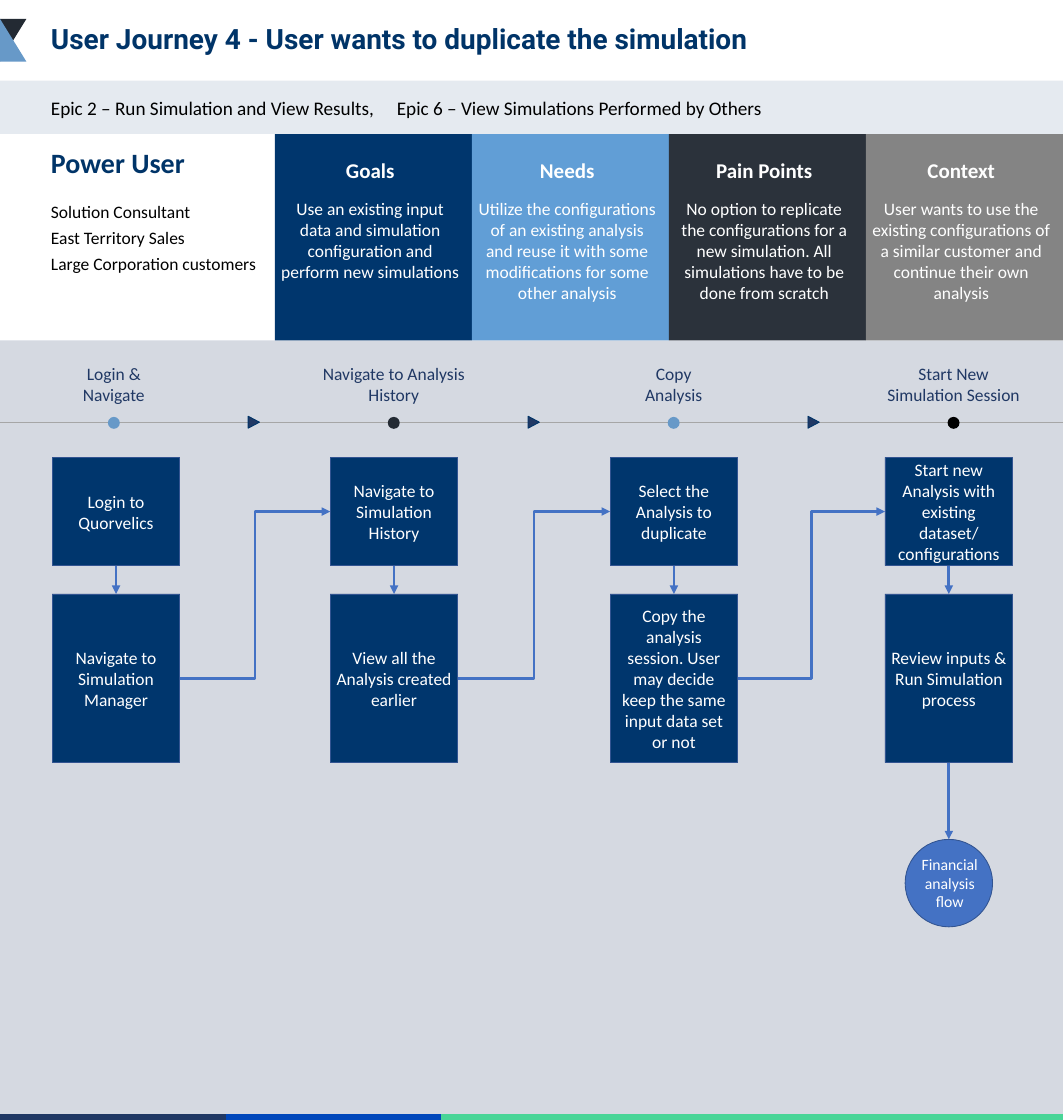
from dataclasses import dataclass

from lxml import etree
from pptx import Presentation
from pptx.dml.color import RGBColor
from pptx.enum.shapes import MSO_CONNECTOR, MSO_SHAPE
from pptx.enum.text import MSO_ANCHOR, MSO_AUTO_SIZE, PP_ALIGN
from pptx.oxml.ns import qn
from pptx.util import Inches, Pt

RECT, OVAL = MSO_SHAPE.RECTANGLE, MSO_SHAPE.OVAL
WEDGE, ARROW = MSO_SHAPE.RIGHT_TRIANGLE, MSO_SHAPE.ISOSCELES_TRIANGLE
LINE, ELBOW = MSO_CONNECTOR.STRAIGHT, MSO_CONNECTOR.ELBOW
LEFT, MID = PP_ALIGN.LEFT, PP_ALIGN.CENTER
TOP, CENTER = MSO_ANCHOR.TOP, MSO_ANCHOR.MIDDLE
BELOW, RIGHT, ABOVE, SIDE = 2, 3, 0, 1
WIDE, TALL = 16.9, 17.8


@dataclass(frozen=True)
class Theme:
    navy: str = "00366D"
    ink: str = "003468"
    dusk: str = "203864"
    sky: str = "5B9BD5"
    steel: str = "6799C8"
    coal: str = "232A33"
    gray: str = "808080"
    rule: str = "A6A6A6"
    edge: str = "325491"
    link: str = "4472C4"
    blue: str = "0047BB"
    green: str = "48D597"
    black: str = "000000"
    white: str = "FFFFFF"
    face: str = "Calibri"
    display: str = "Roboto"
    big: int = 32
    head: int = 24
    lead: int = 22
    body: int = 20
    small: int = 18


T = Theme()

CARDS = [
    ("Goals", T.navy, 100, "Use an existing input data and simulation configuration "
     "and perform new simulations"),
    ("Needs", T.sky, 96, "Utilize the configurations of an existing analysis and "
     "reuse it with some modifications for some other analysis"),
    ("Pain Points", T.coal, 96, "No option to replicate the configurations for a new "
     "simulation. All simulations have to be done from scratch"),
    ("Context", T.gray, 96, "User wants to use the existing configurations of a "
     "similar customer and continue their own analysis"),
]
STAGES = [
    ("Login & Navigate", 1.96, T.steel),
    ("Navigate to Analysis History", 2.91, T.coal),
    ("Copy\vAnalysis", 2.91, T.steel),
    ("Start New Simulation Session", 2.57, T.black),
]
STEPS = [
    (0.83, "Login to\nQuorvelics", "Navigate to Simulation Manager"),
    (5.25, "Navigate to Simulation History", "View all the Analysis created earlier"),
    (9.7, "Select the Analysis to duplicate", "Copy the analysis session. User may "
     "decide keep the same input data set or not"),
    (14.07, "Start new Analysis with existing dataset/ configurations",
     "Review inputs & Run Simulation process"),
]


def rgb(color):
    return RGBColor.from_string(color)


def apply(target, values):
    for name, value in values.items():
        setattr(target, name, value)


def write(shape, text, size=T.body, color=T.white, bold=False, face=T.face,
          align=MID, anchor=CENTER, pad=(0.1, 0.05, 0.1, 0.05), after=0, lead=1):
    frame = shape.text_frame
    frame.text = text
    sides = ("margin_left", "margin_top", "margin_right", "margin_bottom")
    apply(frame, {"word_wrap": True, "auto_size": MSO_AUTO_SIZE.NONE,
                  "vertical_anchor": anchor, **dict(zip(sides, map(Inches, pad)))})
    for para in frame.paragraphs:
        apply(para, {"alignment": align, "space_after": Pt(after),
                     "line_spacing": lead})
        for run in para.runs:
            apply(run.font, {"name": face, "size": Pt(size), "bold": bold})
            run.font.color.rgb = rgb(color)
    return shape


def label(slide, box, text, **style):
    return write(slide.shapes.add_textbox(*map(Inches, box)), text, **style)


def draw(slide, kind, box, fill, edge=None, alpha=100):
    shape = slide.shapes.add_shape(kind, *map(Inches, box))
    shape.shadow.inherit = False
    shape.fill.solid()
    shape.fill.fore_color.rgb = rgb(fill)
    if alpha < 100:
        tint = shape.fill._xPr.find(".//" + qn("a:srgbClr"))
        etree.SubElement(tint, qn("a:alpha")).set("val", str(alpha * 1000))
    if edge:
        shape.line.color.rgb = rgb(edge)
        shape.line.width = Pt(1)
    else:
        shape.line.fill.background()
    return shape


def wire(slide, kind, ends, color, width):
    line = slide.shapes.add_connector(kind, *map(Inches, ends))
    line.line.color.rgb = rgb(color)
    line.line.width = Pt(width)
    etree.SubElement(line._element.spPr, qn("a:effectLst"))
    return line


def link(slide, start, out, end, into, kind=LINE):
    line = wire(slide, kind, (0, 0, 0, 0), T.link, 3.25)
    line.begin_connect(start, out)
    line.end_connect(end, into)
    etree.SubElement(line.line._get_or_add_ln(), qn("a:tailEnd")).set("type", "triangle")


def header(slide, box):
    x, y, w, h = box
    mark = (x, y + 0.3, 0.42, 0.68)
    draw(slide, WEDGE, mark, T.coal)._element.spPr.xfrm.set("flipV", "1")
    draw(slide, WEDGE, mark, T.steel)
    title = slide.shapes.title
    place = (x + 0.71, y + 0.2, 13.26, 0.9)
    apply(title, dict(zip(("left", "top", "width", "height"), map(Inches, place))))
    write(title, "User Journey 4 - User wants to duplicate the simulation", size=T.big,
          color=T.ink, bold=True, face=T.display, align=LEFT, lead=0.9)


def epics(slide, box):
    x, y, w, h = box
    draw(slide, RECT, box, T.navy, alpha=10)
    text = label(slide, (x + 0.81, y + 0.2, 15, 0.47),
                 "Epic 2 – Run Simulation and View Results,\t"
                 "Epic 6 – View Simulations Performed by Others",
                 size=T.lead, color=T.black, align=LEFT, anchor=TOP,
                 pad=(0, 0.05, 0.1, 0.05))
    props = text.text_frame.paragraphs[0]._p.get_or_add_pPr()
    stop = etree.SubElement(etree.SubElement(props, qn("a:tabLst")), qn("a:tab"))
    apply_tab = {"pos": str(Inches(5.5)), "algn": "l"}
    stop.attrib.update(apply_tab)


def persona(slide, box):
    x, y, w, h = box
    style = {"align": LEFT, "anchor": TOP, "pad": (0, 0.05, 0.1, 0.05)}
    label(slide, (x + 0.81, y + 0.13, 2.93, 0.64), "Power User",
          size=T.big, color=T.ink, bold=True, **style)
    label(slide, (x + 0.81, y + 1.01, 3.4, 1.28),
          "Solution Consultant\nEast Territory Sales\nLarge Corporation customers",
          color=T.black, after=6, **style)


def cards(slide, box):
    x, y, w, h = box
    step = w / len(CARDS)
    flush = (0, 0, 0, 0)
    for i, (name, fill, alpha, text) in enumerate(CARDS):
        left = x + i * step
        draw(slide, RECT, (left, y, step, h), fill, alpha=alpha)
        label(slide, (left + 0.09, y + 0.37, 2.85, 0.4), name,
              size=T.head, bold=True, pad=flush)
        label(slide, (left + 0.09, y + 1.01, 2.85, 1.68), text, anchor=TOP, pad=flush)


def stages(slide, box):
    """Stage names above a timeline of dots with arrowheads halfway between."""
    x, y, w, h = box
    axis, first, gap, dot = y + h, x + 1.81, 4.45, 0.19
    wire(slide, LINE, (x, axis, x + w, axis), T.rule, 1.5)
    for i, (name, wide, fill) in enumerate(STAGES):
        mid = first + i * gap
        label(slide, (mid - wide / 2, y, wide, 0.77), name, color=T.dusk, anchor=TOP)
        draw(slide, OVAL, (mid - dot / 2, axis - dot / 2, dot, dot), fill)
        if i:
            tip = (mid - gap / 2 - dot / 2, axis - 0.1, dot, 0.18)
            draw(slide, ARROW, tip, T.dusk, T.ink).rotation = 90


def flow(slide, box):
    """Two boxes per stage, joined downwards and on to the next stage."""
    x, y, w, h = box
    wide, last = 2.03, None
    for left, first, second in STEPS:
        upper, lower = [
            write(draw(slide, RECT, (x + left, y + top, wide, tall), T.navy, T.edge), text)
            for top, tall, text in ((0, 1.72, first), (2.17, 2.68, second))]
        link(slide, upper, BELOW, lower, ABOVE)
        if last:
            link(slide, last, RIGHT, upper, SIDE, ELBOW)
        last = lower
    size, mid = 1.39, x + STEPS[-1][0] + wide / 2
    goal = draw(slide, OVAL, (mid - size / 2, y + h - size, size, size), T.link, T.edge)
    link(slide, last, BELOW, goal, ABOVE)
    label(slide, (mid - 0.6, y + h - 1.2, 1.23, 1.01), "Financial analysis flow",
          size=T.small, anchor=TOP)


def footer(slide, box):
    x, y, w, h = box
    stops = (0, 3.6, 7.02, w)
    for start, end, fill in zip(stops, stops[1:], (T.dusk, T.blue, T.green)):
        draw(slide, RECT, (x + start, y, end - start, h), fill, fill)


def main():
    deck = Presentation()
    apply(deck, {"slide_width": Inches(WIDE), "slide_height": Inches(TALL)})
    slide = deck.slides.add_slide(deck.slide_layouts[5])
    header(slide, (0, 0, WIDE, 1.28))
    draw(slide, RECT, (0, 5.41, WIDE, TALL - 5.41), T.dusk, alpha=19)
    epics(slide, (0, 1.28, WIDE, 0.85))
    persona(slide, (0, 2.13, 4.37, 3.28))
    cards(slide, (4.37, 2.13, WIDE - 4.37, 3.28))
    stages(slide, (0, 5.72, WIDE, 1))
    flow(slide, (0, 7.27, WIDE, 7.46))
    footer(slide, (0, 17.71, WIDE, 0.09))
    deck.save("out.pptx")


if __name__ == "__main__":
    main()
